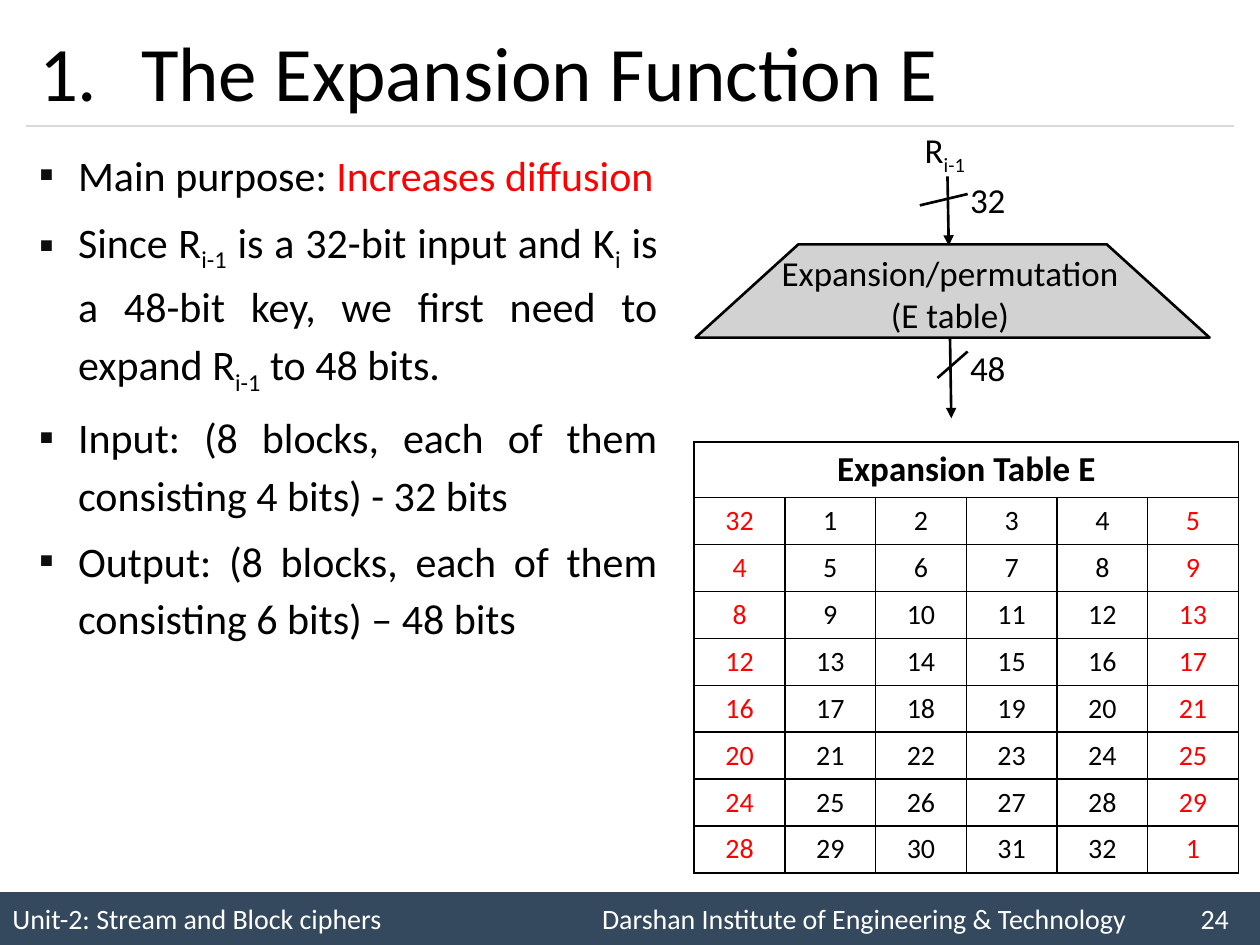
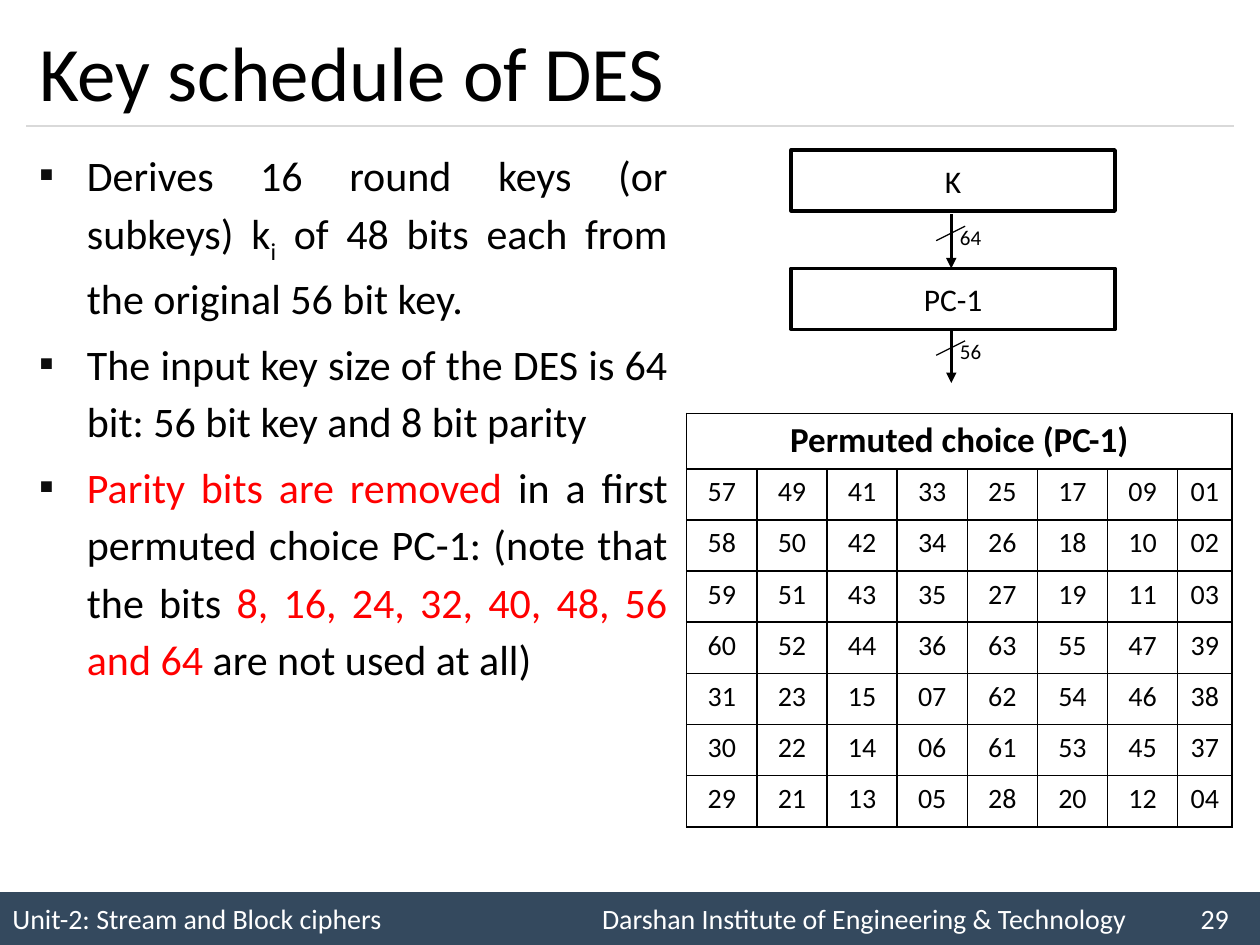
from typing import NamedTuple

from lxml import etree
from pptx import Presentation
from pptx.dml.color import RGBColor
from pptx.enum.shapes import MSO_CONNECTOR as CONN, MSO_SHAPE as SHAPE
from pptx.enum.text import MSO_ANCHOR as ANCHOR, MSO_AUTO_SIZE as FIT, PP_ALIGN as ALIGN
from pptx.oxml.ns import qn
from pptx.util import Inches, Pt

WIDTH, HEIGHT = Inches(10), Inches(7.5)
COLS, ROWS = 100, 75
FONT = "Calibri"
BLACK, WHITE, RED = "000000", "FFFFFF", "FF0000"
NAVY, RULE_GREY, SHAPE_GREY, BULLET = "34495E", "D9D9D9", "D3D2D2", "0D0D0D"
UNIT = "Unit-2: Stream and Block ciphers"
SCHOOL = "Darshan Institute of Engineering & Technology"
HEADER_ROW = 4.4


class Run(NamedTuple):
    text: str
    color: str = BLACK
    sub: bool = False


class Box(NamedTuple):
    """Left and width in grid columns, top and height in grid rows."""
    left: float
    top: float
    width: float
    height: float


class Line(NamedTuple):
    """Ends in grid units, weight in points."""
    x1: float
    y1: float
    x2: float
    y2: float
    weight: float = 1.5
    color: str = BLACK
    arrow: bool = False


class Signal(NamedTuple):
    """A data path: an arrow, the slash across it and its width in bits."""
    arrow: Line
    slash: Line
    bits: str
    label: Box
    size: int


class Grid(NamedTuple):
    """A bordered table under one merged heading."""
    heading: str
    left: float
    top: float
    widths: list[float]
    row_height: float
    values: list[list[str]]
    red_columns: tuple[int, ...] = ()


def col(n: float) -> int:
    return round(WIDTH * n / COLS)


def row(n: float) -> int:
    return round(HEIGHT * n / ROWS)


def place(box: Box) -> tuple[int, int, int, int]:
    return col(box.left), row(box.top), col(box.width), row(box.height)


def rgb(color: str) -> RGBColor:
    return RGBColor.from_string(color)


def sub_element(parent, tag: str, **attrs: str):
    el = etree.SubElement(parent, qn(tag))
    for name, value in attrs.items():
        el.set(name, value)
    return el


def set_all(target, formats: dict) -> None:
    for name, value in formats.items():
        setattr(target, name, value)


def write(p, runs: list[Run], size: int, bold: bool = False) -> None:
    for item in runs:
        r = p.add_run()
        r.text = item.text
        set_all(r.font, {"name": FONT, "size": Pt(size), "bold": bold})
        r.font.color.rgb = rgb(item.color)
        if item.sub:
            r._r.get_or_add_rPr().set("baseline", "-25000")


def hang(p, indent: float):
    """Give a paragraph a hanging indent, in grid columns."""
    pPr = p._p.get_or_add_pPr()
    pPr.set("marL", str(col(indent)))
    pPr.set("indent", str(-col(indent)))
    return pPr


def add_line(s, line: Line) -> None:
    c = s.shapes.add_connector(CONN.STRAIGHT, col(line.x1), row(line.y1),
                               col(line.x2), row(line.y2))
    c.line.color.rgb = rgb(line.color)
    c.line.width = Pt(line.weight)
    if line.arrow:
        sub_element(c.line._get_or_add_ln(), "a:tailEnd", type="triangle")
    sub_element(c._element.spPr, "a:effectLst")


def add_shape(s, kind: SHAPE, box: Box, fill: str, weight: float = 0):
    sp = s.shapes.add_shape(kind, *place(box))
    sp.shadow.inherit = False
    sp.fill.solid()
    sp.fill.fore_color.rgb = rgb(fill)
    if weight:
        sp.line.color.rgb = rgb(BLACK)
        sp.line.width = Pt(weight)
    else:
        sp.line.fill.background()
    return sp


def add_label(s, box: Box, lines: list[list[Run]], size: int,
              align: ALIGN = ALIGN.LEFT, wrap: bool = False) -> None:
    tf = s.shapes.add_textbox(*place(box)).text_frame
    tf.word_wrap = wrap
    for i, runs in enumerate(lines):
        p = tf.paragraphs[0] if i == 0 else tf.add_paragraph()
        p.alignment = align
        write(p, runs, size)


def add_signal(s, signal: Signal) -> None:
    add_line(s, signal.arrow)
    add_line(s, signal.slash)
    add_label(s, signal.label, [[Run(signal.bits)]], signal.size)


def add_key_box(s, text: str, box: Box) -> None:
    sp = add_shape(s, SHAPE.RECTANGLE, box, WHITE, 2)
    sp.text_frame.vertical_anchor = ANCHOR.MIDDLE
    p = sp.text_frame.paragraphs[0]
    p.alignment = ALIGN.CENTER
    write(p, [Run(text)], 18)


def fill_cell(cell, text: str, size: int, color: str = BLACK, bold: bool = False) -> None:
    p = cell.text_frame.paragraphs[0]
    p.alignment = ALIGN.CENTER
    write(p, [Run(text, color)], size, bold)


def add_grid(s, grid: Grid) -> None:
    n_rows, n_cols = len(grid.values) + 1, len(grid.widths)
    box = Box(grid.left, grid.top, sum(grid.widths),
              HEADER_ROW + grid.row_height * len(grid.values))
    table = s.shapes.add_table(n_rows, n_cols, *place(box)).table
    set_all(table, {"first_row": False, "horz_banding": False})
    for column, width in zip(table.columns, grid.widths):
        column.width = col(width)
    for i, table_row in enumerate(table.rows):
        table_row.height = row(grid.row_height if i else HEADER_ROW)
    for cell in table.iter_cells():
        tcPr = cell._tc.get_or_add_tcPr()
        for side in "LRTB":
            ln = sub_element(tcPr, f"a:ln{side}", w=str(Pt(1)))
            sub_element(sub_element(ln, "a:solidFill"), "a:srgbClr", val=BLACK)
        cell.fill.background()
    table.cell(0, 0).merge(table.cell(0, n_cols - 1))
    fill_cell(table.cell(0, 0), grid.heading, 20, bold=True)
    for i, values in enumerate(grid.values, 1):
        for j, value in enumerate(values):
            fill_cell(table.cell(i, j), value, 16, RED if j in grid.red_columns else BLACK)


def add_footer(s, number: int) -> None:
    band = add_shape(s, SHAPE.RECTANGLE, Box(0, 70.8, COLS, 4.2), NAVY)
    band.text_frame.vertical_anchor = ANCHOR.MIDDLE
    p = band.text_frame.paragraphs[0]
    p.alignment = ALIGN.LEFT
    tabs = sub_element(p._p.get_or_add_pPr(), "a:tabLst")
    for stop in (46.8, 94.3):
        sub_element(tabs, "a:tab", pos=str(col(stop)), algn="l")
    write(p, [Run(f"{UNIT}\t{SCHOOL}\t{number}", WHITE)], 16)


def add_bullets(s, box: Box, indent: float, items: list[list[Run]]) -> None:
    body = s.placeholders[1]
    body.left, body.top, body.width, body.height = place(box)
    tf = body.text_frame
    tf.auto_size = FIT.NONE
    for i, runs in enumerate(items):
        p = tf.paragraphs[0] if i == 0 else tf.add_paragraph()
        pPr = hang(p, indent)
        sub_element(sub_element(pPr, "a:buClr"), "a:srgbClr", val=BULLET)
        sub_element(pPr, "a:buFont", typeface=FONT)
        sub_element(pPr, "a:buChar", char="▪")
        set_all(p, {"alignment": ALIGN.JUSTIFY, "line_spacing": 1.14,
                    "space_before": Pt(4.8 if i else 0)})
        write(p, runs, 24)


def new_slide(prs, title: str, number: int, numbered: bool = False):
    s = prs.slides.add_slide(prs.slide_layouts[1])
    add_footer(s, number)
    add_line(s, Line(2.1, 10, 97.9, 10, 0.75, RULE_GREY))
    head = s.shapes.title
    head.left, head.top, head.width, head.height = place(Box(2.1, 1.2, 95.8, 8.8))
    set_all(head.text_frame, {"vertical_anchor": ANCHOR.MIDDLE, "auto_size": FIT.NONE})
    p = head.text_frame.paragraphs[0]
    if numbered:
        sub_element(hang(p, 8.1), "a:buAutoNum", type="arabicPeriod")
    p.alignment = ALIGN.LEFT
    write(p, [Run(title)], 44)
    return s


def build_expansion(prs) -> None:
    s = new_slide(prs, "The Expansion Function E", 24, numbered=True)
    add_bullets(s, Box(2.1, 10.8, 51.1, 42), 3.1, [
        [Run("Main purpose: "), Run("Increases diffusion", RED)],
        [Run("Since R"), Run("i-1", sub=True), Run(" is a 32-bit input and K"),
         Run("i", sub=True), Run(" is a 48-bit key, we ﬁrst need to expand R"),
         Run("i-1", sub=True), Run(" to 48 bits.")],
        [Run("Input: (8 blocks, each of them consisting 4 bits) - 32 bits")],
        [Run("Output: (8 blocks, each of them consisting 6 bits) – 48 bits")],
    ])
    values = [[str((4 * block + bit - 1) % 32 + 1) for bit in range(6)] for block in range(8)]
    add_grid(s, Grid("Expansion Table E", 55.1, 35.1, [7.2] * 6, 3.72, values, (0, 5)))

    trapezoid = add_shape(s, SHAPE.FLOWCHART_MANUAL_OPERATION,
                          Box(55.2, 19.4, 40.8, 7.4), SHAPE_GREY, 1.5)
    trapezoid._element.spPr.find(qn("a:xfrm")).set("flipV", "1")
    add_label(s, Box(60.2, 19.5, 30.4, 7.7),
              [[Run("Expansion/permutation")], [Run("(E table)")]], 20, ALIGN.CENTER, True)
    add_label(s, Box(72.4, 9.7, 5.5, 4.4), [[Run("R"), Run("i-1", sub=True)]], 20)
    add_signal(s, Signal(Line(75.2, 14, 75.3, 19.5, arrow=True),
                         Line(73, 16.3, 76.8, 15.4), "32", Box(76, 13.7, 4.9, 4.4), 20))
    add_signal(s, Signal(Line(75.4, 26.8, 75.5, 33.2, arrow=True),
                         Line(76.8, 27.9, 74.4, 30), "48", Box(76, 27, 4.9, 4.4), 20))


def build_key_schedule(prs) -> None:
    s = new_slide(prs, "Key schedule of DES", 29)
    add_bullets(s, Box(2.1, 10.8, 51.9, 53), 3.8, [
        [Run("Derives 16 round keys (or subkeys) k"), Run("i", sub=True),
         Run(" of 48 bits each from the original 56 bit key.")],
        [Run("The input key size of the DES is 64 bit: 56 bit key and 8 bit parity")],
        [Run("Parity bits are removed ", RED),
         Run("in a first permuted choice PC-1: (note that the bits "),
         Run("8, 16, 24, 32, 40, 48, 56 and 64 ", RED), Run("are not used at all)")],
    ])
    values = [line.split() for line in (
        "57 49 41 33 25 17 09 01",
        "58 50 42 34 26 18 10 02",
        "59 51 43 35 27 19 11 03",
        "60 52 44 36 63 55 47 39",
        "31 23 15 07 62 54 46 38",
        "30 22 14 06 61 53 45 37",
        "29 21 13 05 28 20 12 04",
    )]
    add_grid(s, Grid("Permuted choice (PC-1)", 54.5, 32.8, [5.57] * 7 + [4.3], 4.06, values))

    for text, top in (("K", 11.9), ("PC-1", 21.3)):
        add_key_box(s, text, Box(62.8, top, 25.7, 4.85))
    for bits, top in (("64", 17), ("56", 26.1)):
        add_signal(s, Signal(Line(75.5, top, 75.5, top + 4.3, arrow=True),
                             Line(74.3, top + 2.1, 76.6, top + 0.95, 0.75),
                             bits, Box(75.2, top + 0.3, 4.1, 3.7), 12))


def main() -> None:
    prs = Presentation()
    set_all(prs, {"slide_width": WIDTH, "slide_height": HEIGHT})
    build_expansion(prs)
    build_key_schedule(prs)
    prs.save("out.pptx")


if __name__ == "__main__":
    main()
